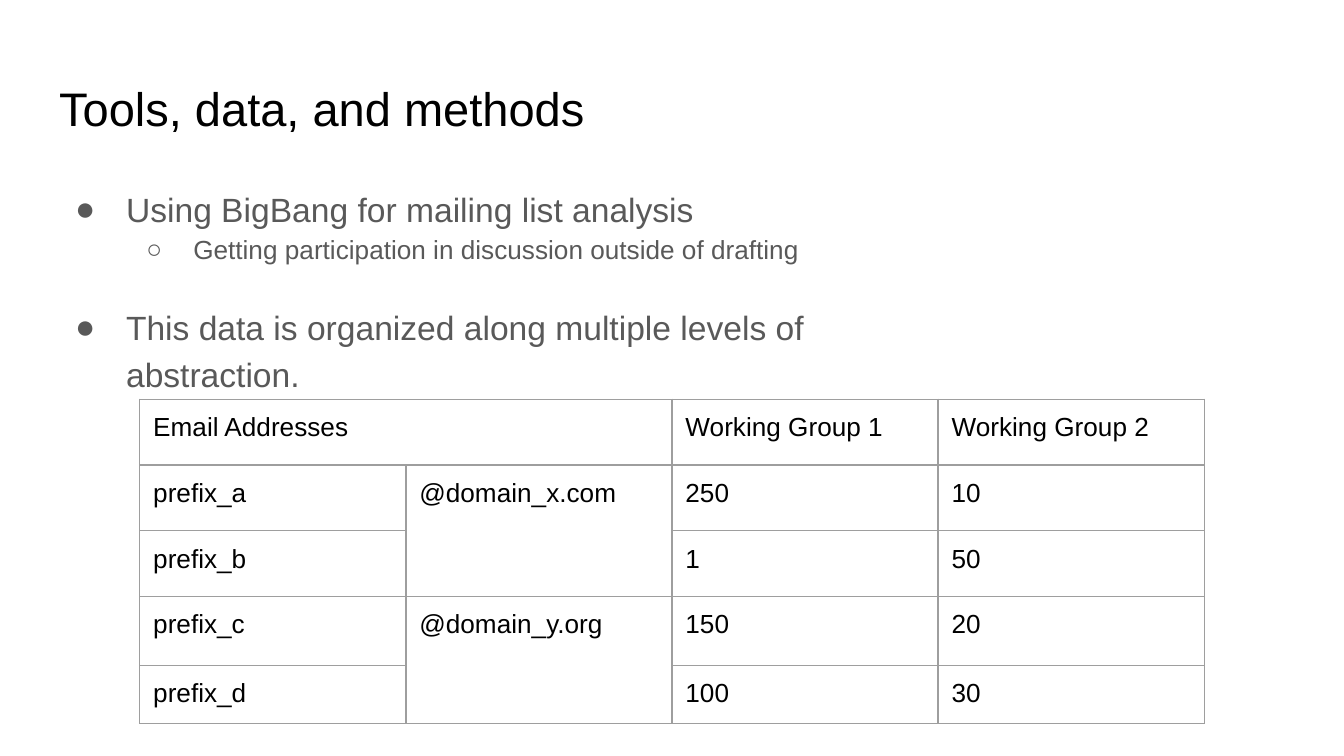
from lxml import etree
from pptx import Presentation
from pptx.dml.color import RGBColor
from pptx.enum import text as t
from pptx.oxml import ns
from pptx.util import Inches, Pt

BLACK = RGBColor(0, 0, 0)
GREY = RGBColor(0x59, 0x59, 0x59)
RULE = RGBColor(0x9E, 0x9E, 0x9E)
FONT = "Arial"
PAD = Inches(0.1)

TITLE = "Tools, data, and methods"
# level, text, space after in points
POINTS = [
    (0, "Using BigBang for mailing list analysis", 0),
    (1, "Getting participation in discussion outside of drafting", 19.3),
    (0, "This data is organized along multiple levels of abstraction.", 0),
]
# bullet, size, left margin, hanging indent
LEVELS = [("●", 18, 0.5, 0.38), ("○", 14, 1, 0.35)]

ROWS = [
    ("Email Addresses", "", "Working Group 1", "Working Group 2"),
    ("prefix_a", "@domain_x.com", "250", "10"),
    ("prefix_b", "", "1", "50"),
    ("prefix_c", "@domain_y.org", "150", "20"),
    ("prefix_d", "", "100", "30"),
]
MERGES = [((0, 0), (0, 1)), ((1, 1), (2, 1)), ((3, 1), (4, 1))]
HEIGHTS = [0.49, 0.49, 0.49, 0.51, 0.37]
WIDTH = 1.98


def style(para, size, color):
    for run in para.runs:
        run.font.name = FONT
        run.font.size = Pt(size)
        run.font.color.rgb = color
    if not para.runs:
        etree.SubElement(para._p, ns.qn("a:endParaRPr"), sz=str(size * 100))


def pad(item):
    item.margin_left = item.margin_right = PAD
    item.margin_top = item.margin_bottom = PAD


def place(shape, *box):
    shape.left, shape.top, shape.width, shape.height = map(Inches, box)


def bullet(para, char, left, hang):
    props = para._p.get_or_add_pPr()
    props.set("marL", str(Inches(left)))
    props.set("indent", str(-Inches(hang)))
    etree.SubElement(props, ns.qn("a:buFont"), typeface=FONT)
    etree.SubElement(props, ns.qn("a:buChar"), char=char)


def border(cell):
    props = cell._tc.get_or_add_tcPr()
    for spot, side in enumerate("LRTB"):
        line = etree.Element(ns.qn("a:ln" + side), w=str(Pt(0.75)))
        fill = etree.SubElement(line, ns.qn("a:solidFill"))
        etree.SubElement(fill, ns.qn("a:srgbClr"), val=str(RULE))
        props.insert(spot, line)


deck = Presentation()
deck.slide_width = Inches(10)
deck.slide_height = Inches(10 * 9 / 16)
slide = deck.slides.add_slide(deck.slide_layouts[5])

title = slide.shapes.title
place(title, 0.34, 0.49, 9.32, 0.63)
frame = title.text_frame
frame.text = TITLE
frame.auto_size = t.MSO_AUTO_SIZE.NONE
frame.vertical_anchor = t.MSO_ANCHOR.MIDDLE
pad(frame)
frame.paragraphs[0].alignment = t.PP_ALIGN.LEFT
style(frame.paragraphs[0], 25.2, BLACK)

body = slide.shapes.add_textbox(*map(Inches, (0.34, 1.26, 6.37, 3.74)))
frame = body.text_frame
frame.word_wrap = True
pad(frame)
for i, (level, words, gap) in enumerate(POINTS):
    para = frame.add_paragraph() if i else frame.paragraphs[0]
    char, size, left, hang = LEVELS[level]
    para.text = words
    para.level = level
    para.line_spacing = 1.15
    para.space_after = Pt(gap)
    bullet(para, char, left, hang)
    style(para, size, GREY)

cols = len(ROWS[0])
grid = slide.shapes.add_table(
    len(ROWS), cols, Inches(1.04), Inches(2.97),
    Inches(WIDTH * cols), Inches(sum(HEIGHTS))).table
grid.first_row = grid.horz_banding = False
for col in grid.columns:
    col.width = Inches(WIDTH)
for r, (row, high) in enumerate(zip(ROWS, HEIGHTS)):
    grid.rows[r].height = Inches(high)
    for c, words in enumerate(row):
        cell = grid.cell(r, c)
        cell.text = words
        pad(cell)
        cell.fill.background()
        border(cell)
        style(cell.text_frame.paragraphs[0], 14, BLACK)
for first, last in MERGES:
    grid.cell(*first).merge(grid.cell(*last))

deck.save("out.pptx")
